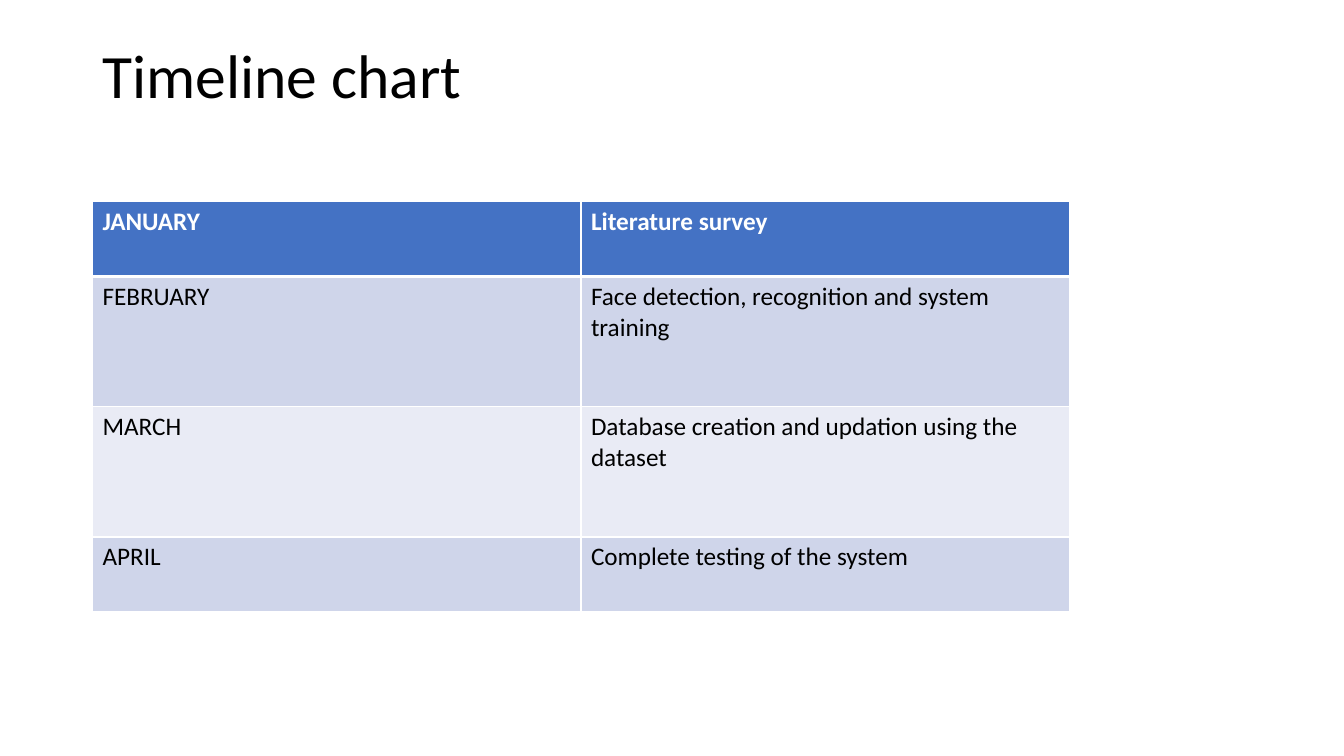
import pptx
import pptx.dml.color
import pptx.enum.text
import pptx.oxml
import pptx.oxml.ns
import pptx.util

TITLE = "Timeline chart"
PLAN = [
    ("JANUARY", "Literature survey"),
    ("FEBRUARY", "Face detection, recognition and system training"),
    ("MARCH", "Database creation and updation using the dataset"),
    ("APRIL", "Complete testing of the system"),
]
HEX = {"head": "4472C4", "odd": "CFD5EA", "even": "E9EBF5",
       "white": "FFFFFF", "black": "000000"}
FONT = "Calibri"
LEFT = 2.33
TITLE_BOX = (LEFT, 1.02, 29.21, 3.68)
TABLE_TOP = 5.08
COL = 12.31
ROWS = [1.89, 3.28, 3.28, 1.89]
THIN, THICK = 1, 3

Cm = pptx.util.Cm


def tint(name):
    return pptx.dml.color.RGBColor.from_string(HEX[name])


def style(font, form, color):
    for key, value in form.items():
        setattr(font, key, value)
    font.color.rgb = tint(color)


def edge(cell, widths):
    """Add white borders, given as points by side, ahead of the cell fill."""
    props = cell._tc.get_or_add_tcPr()
    for spot, side in enumerate("LRTB"):
        line = pptx.oxml.parse_xml(
            f'<a:ln{side} {pptx.oxml.ns.nsdecls("a")} '
            f'w="{pptx.util.Pt(widths[side])}"><a:solidFill>'
            f'<a:srgbClr val="{HEX["white"]}"/></a:solidFill></a:ln{side}>')
        props.insert(spot, line)


def add_title(slide):
    frame = slide.shapes.add_textbox(*map(Cm, TITLE_BOX)).text_frame
    frame.word_wrap = True
    frame.vertical_anchor = pptx.enum.text.MSO_ANCHOR.TOP
    para = frame.paragraphs[0]
    para.line_spacing = 0.9
    run = para.add_run()
    run.text = TITLE
    style(run.font, {"name": FONT, "size": pptx.util.Pt(44)}, "black")


def add_plan(slide):
    count = len(PLAN[0])
    table = slide.shapes.add_table(
        len(PLAN), count, Cm(LEFT), Cm(TABLE_TOP),
        Cm(COL * count), Cm(sum(ROWS))).table
    for col in table.columns:
        col.width = Cm(COL)
    for r, (texts, high) in enumerate(zip(PLAN, ROWS)):
        table.rows[r].height = Cm(high)
        head = r == 0
        fill = "head" if head else ("odd" if r % 2 else "even")
        widths = {"L": THIN, "R": THIN,
                  "T": THICK if r == 1 else THIN,
                  "B": THICK if head else THIN}
        form = {"name": FONT, "size": pptx.util.Pt(18), "bold": head}
        for c, text in enumerate(texts):
            cell = table.cell(r, c)
            cell.fill.solid()
            cell.fill.fore_color.rgb = tint(fill)
            edge(cell, widths)
            run = cell.text_frame.paragraphs[0].add_run()
            run.text = text
            style(run.font, form, "white" if head else "black")


def main():
    deck = pptx.Presentation()
    deck.slide_width, deck.slide_height = Cm(33.87), Cm(19.05)
    slide = deck.slides.add_slide(deck.slide_layouts[6])
    add_title(slide)
    add_plan(slide)
    deck.save("out.pptx")


if __name__ == "__main__":
    main()
